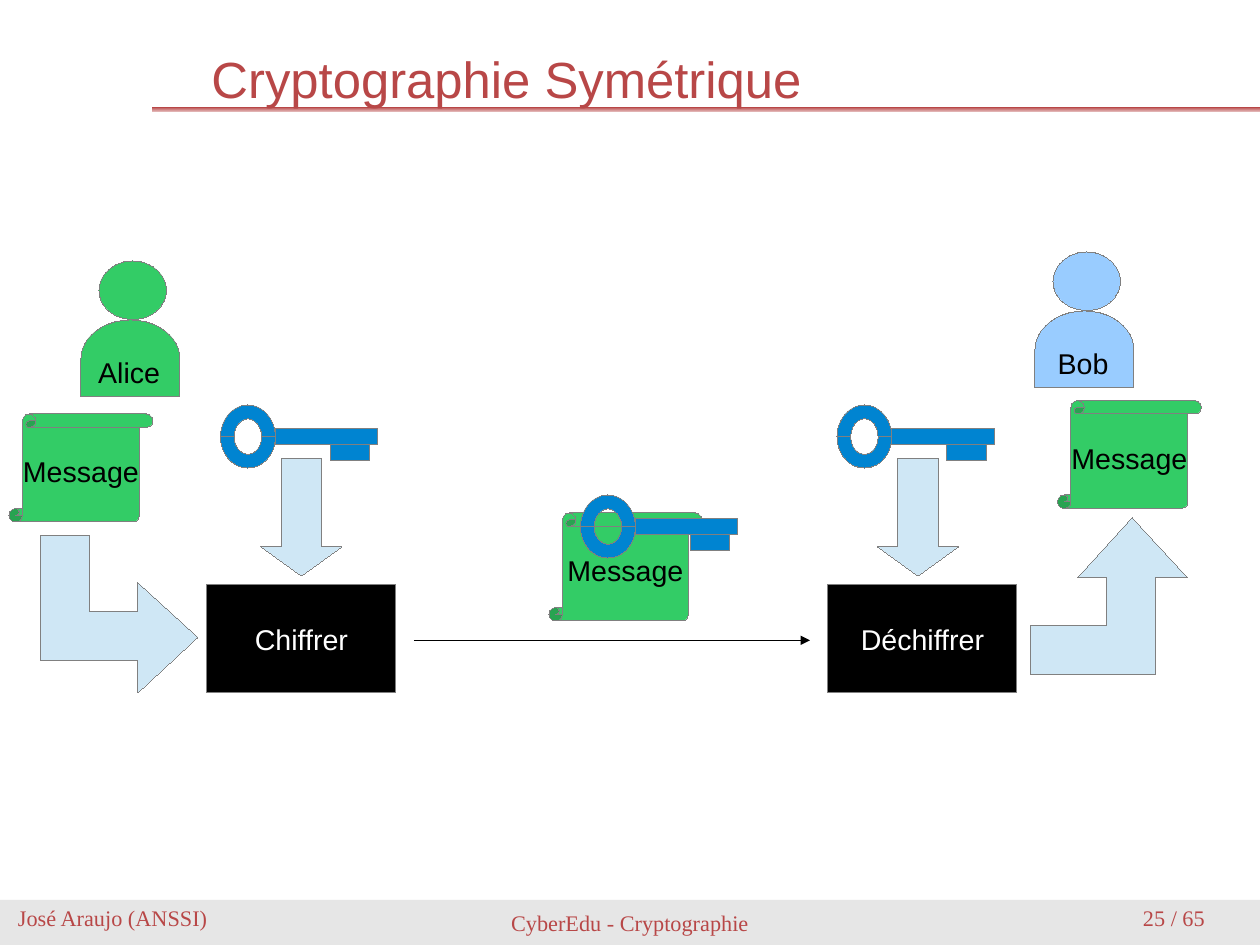
import pptx
import pptx.util
import pptx.dml.color
import pptx.enum.shapes
import pptx.enum.text
import pptx.oxml
import pptx.oxml.ns

Cm = pptx.util.Cm
Kind = pptx.enum.shapes.MSO_SHAPE
Align = pptx.enum.text.PP_ALIGN
Anchor = pptx.enum.text.MSO_ANCHOR

# Content; all lengths are in centimetres
TITLE = "Cryptographie Symétrique"
AUTHOR, COURSE, PAGE = "José Araujo (ANSSI)", "CyberEdu - Cryptographie", "25 / 65"
RED, PALE_RED, FOOTER_GREY = "B84747", "EAC8C8", "E6E6E6"
GREEN, BLUE, KEY_BLUE, ARROW_BLUE = "33CC66", "99CCFF", "0084D1", "CFE7F5"
BLACK, WHITE, OUTLINE = "000000", "FFFFFF", "808080"
HAIRLINE = pptx.util.Emu(1)

PEOPLE = [("Alice", 2.2, 5.8, GREEN), ("Bob", 23.4, 5.6, BLUE)]
MESSAGES = [(0.2, 9.2, 3.2), (12.2, 11.4, 3.4), (23.5, 8.9, 3.2)]
KEYS = [(4.9, 9.0), (12.9, 11.0), (18.6, 9.0)]
STEPS = [("Chiffrer", 4.6), ("Déchiffrer", 18.4)]
KEY_ARROWS = [5.8, 19.5]
BENT_SIZE = 3.5
BENT_ARROW = [(0, 0), (1.1, 0), (1.1, 1.68), (2.16, 1.68), (2.16, 1.04),
              (BENT_SIZE, 2.26), (2.16, BENT_SIZE), (2.16, 2.78), (0, 2.78)]

deck = pptx.Presentation()
deck.slide_width, deck.slide_height = Cm(28), Cm(21)
slide = deck.slides.add_slide(deck.slide_layouts[6])


def rgb(code):
    return pptx.dml.color.RGBColor.from_string(code)


def write(shape, text, size, color, font="Arial", align=Align.CENTER,
          anchor=Anchor.MIDDLE):
    frame = shape.text_frame
    frame.margin_left = frame.margin_right = 0
    frame.margin_top = frame.margin_bottom = 0
    frame.word_wrap = False
    frame.vertical_anchor = anchor
    paragraph = frame.paragraphs[0]
    paragraph.text = text
    paragraph.alignment = align
    paragraph.font.name = font
    paragraph.font.size = pptx.util.Pt(size)
    paragraph.font.color.rgb = rgb(color)
    return paragraph


def paint(shape, fill, outline=OUTLINE):
    shape.shadow.inherit = False
    shape.fill.solid()
    shape.fill.fore_color.rgb = rgb(fill)
    if outline:
        shape.line.color.rgb = rgb(outline)
        shape.line.width = HAIRLINE
    else:
        shape.line.fill.background()
    return shape


def draw(kind, box, fill, outline=OUTLINE, parent=slide):
    return paint(parent.shapes.add_shape(kind, *map(Cm, box)), fill, outline)


def label(box, text, size, color, parent=slide, **style):
    textbox = parent.shapes.add_textbox(*map(Cm, box))
    return write(textbox, text, size, color, **style)


def draw_key(x, y):
    key = slide.shapes.add_group_shape()
    for turn in (0, 180):
        half_ring = draw(Kind.BLOCK_ARC, (x, y, 1.22, 1.4), KEY_BLUE, parent=key)
        half_ring.adjustments[0] = 108
        half_ring.adjustments[1] = 0
        half_ring.adjustments[2] = 0.25
        half_ring.rotation = turn
    draw(Kind.RECTANGLE, (x + 1.22, y + 0.53, 2.28, 0.35), KEY_BLUE, parent=key)
    draw(Kind.RECTANGLE, (x + 2.44, y + 0.88, 0.88, 0.35), KEY_BLUE, parent=key)


def draw_person(name, x, y, color):
    person = slide.shapes.add_group_shape()
    body = draw(Kind.FLOWCHART_DELAY, (x - 0.15, y + 1.06, 1.7, 2.2), color,
                parent=person)
    body.rotation = 270
    draw(Kind.FLOWCHART_CONNECTOR, (x, y, 1.5, 1.3), color, parent=person)
    label((x - 0.43, y + 2.11, 2.2, 0.71), name, 18, BLACK, parent=person)


def draw_bent_arrow(x, y, points):
    corners = [(Cm(x + dx), Cm(y + dy)) for dx, dy in points]
    builder = slide.shapes.build_freeform(*corners[0])
    builder.add_line_segments(corners[1:], close=True)
    paint(builder.convert_to_shape(), ARROW_BLUE)


# Footer
footer = draw(Kind.RECTANGLE, (0, 20, 28, 1), FOOTER_GREY, outline=None)
write(footer, COURSE, 14, RED, font="Times New Roman")
for x, width, text in [(0.4, 8, AUTHOR), (25.4, 2.6, PAGE)]:
    label((x, 20.1, width, 0.56), text, 14, RED, font="Times New Roman",
          align=Align.LEFT, anchor=Anchor.TOP)

# Title and its rule
rule = draw(Kind.RECTANGLE, (3.38, 2.38, 24.62, 0.12), RED, outline=None)
rule.fill.gradient()
rule.fill.gradient_angle = 90
for stop, color in zip(rule.fill.gradient_stops, (PALE_RED, RED)):
    stop.color.rgb = rgb(color)
heading = label((4.7, 0.91, 23.1, 1.5), TITLE, 32, RED, align=Align.LEFT,
                anchor=Anchor.TOP)
heading.line_spacing = pptx.util.Pt(42.5)

# People and messages
for person in PEOPLE:
    draw_person(*person)
for x, y, width in MESSAGES:
    scroll = draw(Kind.VERTICAL_SCROLL, (x, y, width, 2.4), GREEN)
    write(scroll, "Message", 18, BLACK)

# Encryption and decryption steps
for step, x in STEPS:
    write(draw(Kind.RECTANGLE, (x, 13, 4.2, 2.4), BLACK), step, 18, WHITE)
for x in KEY_ARROWS:
    key_arrow = draw(Kind.DOWN_ARROW, (x, 10.2, 1.8, 2.6), ARROW_BLUE)
    key_arrow.adjustments[1] = 0.361
for key_place in KEYS:
    draw_key(*key_place)

# Bent arrows: the second is the first after a quarter turn to the left
draw_bent_arrow(0.9, 11.9, BENT_ARROW)
draw_bent_arrow(22.9, 11.5, [(dy, BENT_SIZE - dx) for dx, dy in BENT_ARROW])

# Channel between the two steps
channel = slide.shapes.add_connector(
    pptx.enum.shapes.MSO_CONNECTOR.STRAIGHT, Cm(9.2), Cm(14.23), Cm(18), Cm(14.23))
channel.line.color.rgb = rgb(BLACK)
channel.line.width = HAIRLINE
arrowhead = pptx.oxml.parse_xml(
    f'<a:tailEnd {pptx.oxml.ns.nsdecls("a")} type="triangle"/>')
no_shadow = pptx.oxml.parse_xml(f'<a:effectLst {pptx.oxml.ns.nsdecls("a")}/>')
channel_properties = channel._element.spPr
channel_properties.get_or_add_ln().append(arrowhead)
channel_properties.append(no_shadow)

deck.save("out.pptx")
